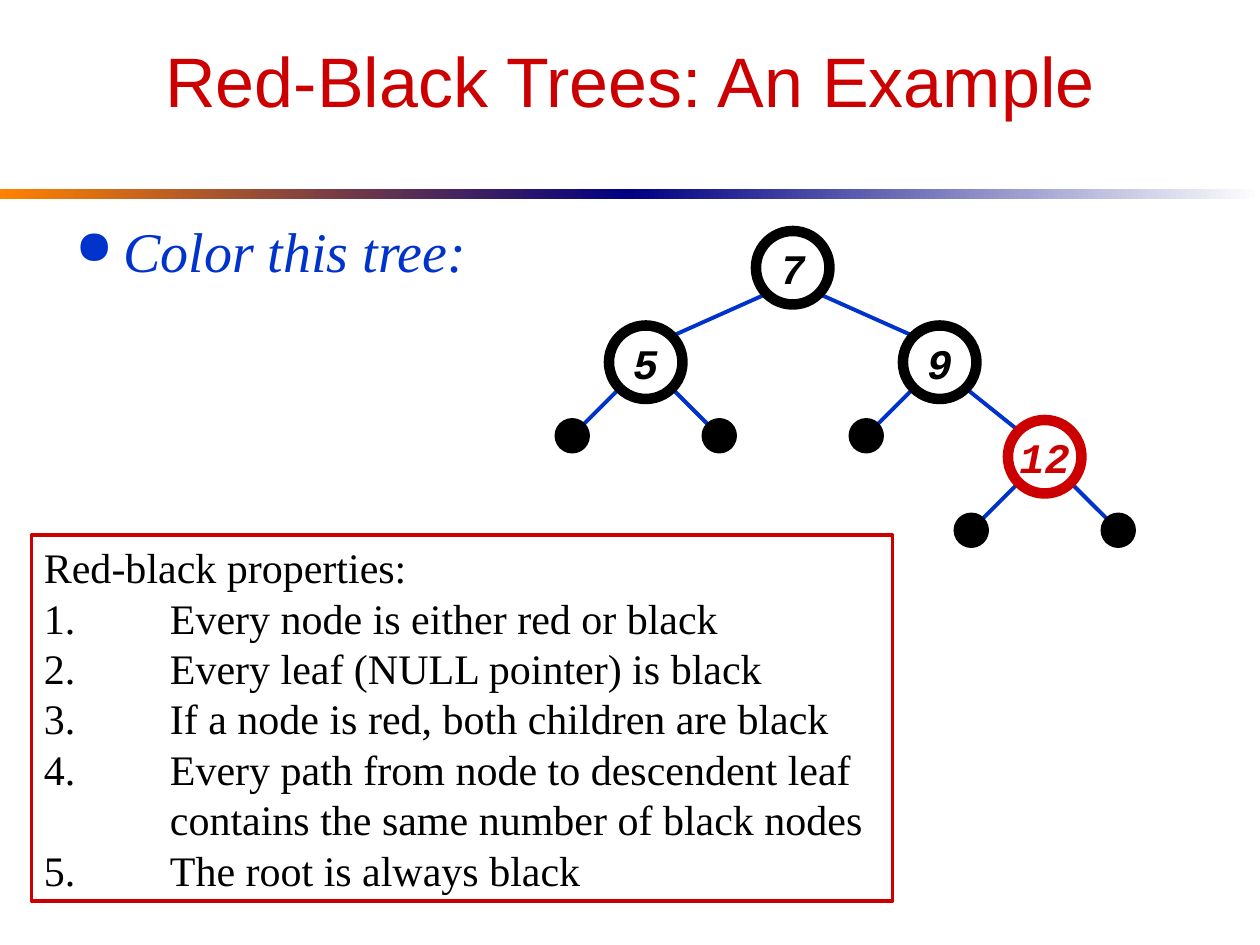
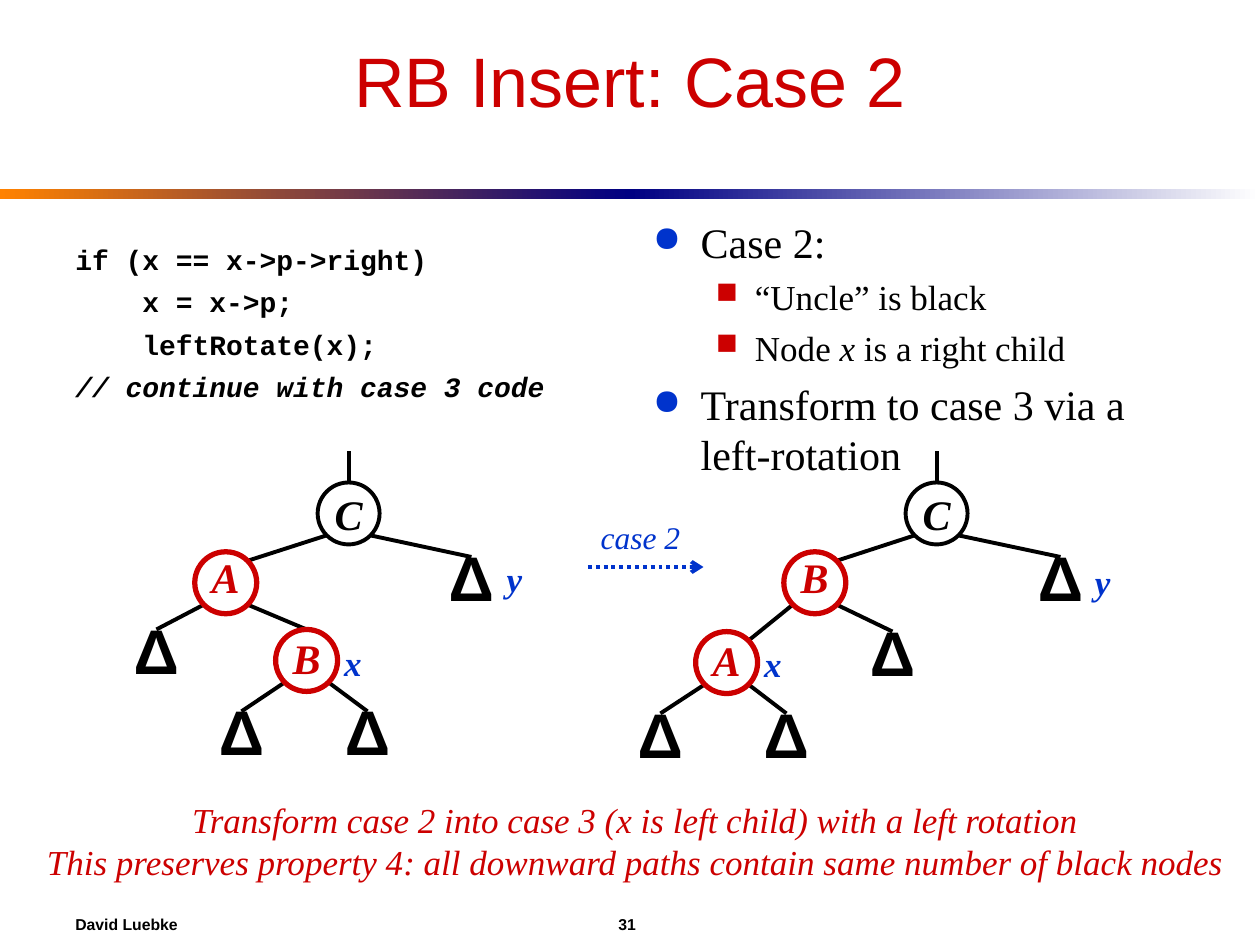
from dataclasses import dataclass
from typing import Any, NamedTuple, Optional

import pptx
import pptx.dml.color
import pptx.enum.dml
import pptx.enum.shapes
import pptx.enum.text
import pptx.oxml.ns
import pptx.util
from lxml import etree

WIDTH, HEIGHT = pptx.util.Inches(10), pptx.util.Inches(7.5)
COLS, ROWS = 120, 90
HUES = {"red": "CC0000", "blue": "0033CC", "black": "000000", "white": "FFFFFF",
        "orange": "FF8200", "navy": "000082"}
SHAPE = pptx.enum.shapes.MSO_SHAPE
ALIGN = pptx.enum.text.PP_ALIGN
ANCHOR = pptx.enum.text.MSO_ANCHOR
DIAG = 0.71


class Box(NamedTuple):
    left: float
    top: float
    width: float
    height: float


@dataclass(frozen=True)
class Style:
    face: str
    size: float
    hue: str = "black"
    bold: bool = False
    slant: bool = False
    align: Any = ALIGN.LEFT
    lead: Optional[float] = None


@dataclass(frozen=True)
class Mark:
    sign: str
    hue: str
    edge: float
    hang: float


@dataclass(frozen=True)
class Line:
    text: str
    style: Style
    space: float = 0
    mark: Optional[Mark] = None
    tab: float = 0


@dataclass(frozen=True)
class Kind:
    size: float
    style: Optional[Style] = None
    fill: Optional[str] = None
    edge: Optional[str] = None
    weight: float = 0
    crown: bool = False


class Node(NamedTuple):
    text: str
    col: float
    row: float
    kind: Kind
    up: Optional[int] = None


TITLE = Style("Arial", 40, "red", align=ALIGN.CENTER)
FOOT = Style("Arial", 9, bold=True)
BODY = Style("Times New Roman", 24)
SUB = Style("Times New Roman", 20)
COLOR = Style("Times New Roman", 32, "blue", slant=True)
CODE = Style("Courier New", 16, bold=True)
NOTE = Style("Courier New", 16, bold=True, slant=True)
TAG = Style("Times New Roman", 20, "blue", True, True, ALIGN.CENTER)
STEP = Style("Times New Roman", 18, "blue", slant=True, align=ALIGN.CENTER)
CLAIM = Style("Times New Roman", 20, "red", slant=True, align=ALIGN.CENTER)

DOT = Mark("●", "blue", 0.38, 0.38)
SQUARE = Mark("■", "red", 0.81, 0.31)
COUNT = Mark("", "black", 1, 1)


def key(hue: str) -> Style:
    return Style("Courier New", 24, hue, True, True, ALIGN.CENTER)


def name(hue: str, lead: Optional[float] = None) -> Style:
    return Style("Times New Roman", 24, hue, True, True, ALIGN.CENTER, lead)


BLACK = Kind(7, key("black"), "white", "black", 6)
RED = Kind(7, key("red"), "white", "red", 6)
LEAF = Kind(3, None, "black", "black", 2.25)
TOP = Kind(5.9, name("black"), "white", "black", 2.25)
MID = Kind(5.9, name("red", 0.7), "white", "red", 3)
LOW = Kind(5.9, name("red", 0.9), "white", "red", 3)
LOW_TOP = Kind(5.9, name("red", 0.9), "white", "red", 3, True)
DELTA = Kind(5.9, Style("Arial", 36, bold=True, align=ALIGN.CENTER, lead=0.6), crown=True)

SAMPLE = [
    Node("7", 75.5, 25.5, BLACK),
    Node("5", 61.5, 34.5, BLACK, 0),
    Node("9", 89.5, 34.5, BLACK, 0),
    Node("12", 99.5, 43.5, RED, 2),
    Node("", 54.5, 41.5, LEAF, 1),
    Node("", 68.5, 41.5, LEAF, 1),
    Node("", 82.5, 41.5, LEAF, 2),
    Node("", 92.5, 50.5, LEAF, 3),
    Node("", 106.5, 50.5, LEAF, 3),
]
BEFORE = [
    Node("C", 33.2, 48.9, TOP),
    Node("A", 21.5, 55.5, MID, 0),
    Node("Δ", 44.9, 56, DELTA, 0),
    Node("Δ", 14.9, 62.9, DELTA, 1),
    Node("B", 29.2, 62.9, LOW_TOP, 1),
    Node("Δ", 23, 70.7, DELTA, 4),
    Node("Δ", 35, 70.7, DELTA, 4),
]
AFTER = [
    Node("C", 89.2, 48.9, TOP),
    Node("B", 77.6, 55.5, MID, 0),
    Node("Δ", 101, 56, DELTA, 0),
    Node("A", 69.2, 63.1, LOW, 1),
    Node("Δ", 85, 63.1, DELTA, 1),
    Node("Δ", 62.9, 70.9, DELTA, 3),
    Node("Δ", 74.9, 70.9, DELTA, 3),
]
TAGS = [("x", 33.6, 63.1), ("y", 49, 55.1), ("x", 73.6, 63.2), ("y", 105, 55.4)]
RULES = [
    "Every node is either red or black",
    "Every leaf (NULL pointer) is black",
    "If a node is red, both children are black",
    "Every path from node to descendent leaf contains the same number of black nodes",
    "The root is always black",
]


def across(cols: float) -> int:
    return round(WIDTH * cols / COLS)


def down(rows: float) -> int:
    return round(HEIGHT * rows / ROWS)


def place(box: Box) -> tuple[int, int, int, int]:
    return across(box.left), down(box.top), across(box.width), down(box.height)


def paint(hue: str) -> pptx.dml.color.RGBColor:
    return pptx.dml.color.RGBColor.from_string(HUES[hue])


def add(parent: Any, tag: str, **attrs: Any) -> Any:
    return etree.SubElement(parent, pptx.oxml.ns.qn(tag), {k: str(v) for k, v in attrs.items()})


def add_mark(para: Any, mark: Mark) -> None:
    props = para._p.get_or_add_pPr()
    props.set("marL", str(pptx.util.Inches(mark.edge)))
    props.set("indent", str(-pptx.util.Inches(mark.hang)))
    add(add(props, "a:buClr"), "a:srgbClr", val=HUES[mark.hue])
    if mark.sign:
        add(props, "a:buSzPct", val=85000)
        add(props, "a:buChar", char=mark.sign)
    else:
        add(props, "a:buAutoNum", type="arabicPeriod")


def write(frame: Any, lines: list[Line], wrap: bool = True, anchor: Any = ANCHOR.TOP) -> None:
    frame.word_wrap = wrap
    frame.vertical_anchor = anchor
    for i, line in enumerate(lines):
        para = frame.add_paragraph() if i else frame.paragraphs[0]
        style = line.style
        if line.mark:
            add_mark(para, line.mark)
        if line.tab:
            tabs = add(para._p.get_or_add_pPr(), "a:tabLst")
            add(tabs, "a:tab", pos=pptx.util.Inches(line.tab), algn="l")
        para.alignment = style.align
        if style.lead:
            para.line_spacing = style.lead
        if line.space:
            para.space_before = pptx.util.Pt(line.space)
        font = para.font
        font.name, font.size = style.face, pptx.util.Pt(style.size)
        font.bold, font.italic = style.bold, style.slant
        font.color.rgb = paint(style.hue)
        for j, part in enumerate(line.text.split("|")):
            run = para.add_run()
            run.text = part
            if j % 2:
                run.font.italic = True


def add_text(slide: Any, box: Box, lines: list[Line], wrap: bool = True,
             anchor: Any = ANCHOR.TOP) -> Any:
    shape = slide.shapes.add_textbox(*place(box))
    write(shape.text_frame, lines, wrap, anchor)
    return shape


def add_line(slide: Any, start: tuple[float, float], end: tuple[float, float], hue: str) -> Any:
    line = slide.shapes.add_connector(
        pptx.enum.shapes.MSO_CONNECTOR.STRAIGHT,
        across(start[0]), down(start[1]), across(end[0]), down(end[1]))
    line.line.color.rgb = paint(hue)
    line.line.width = pptx.util.Pt(2.25)
    add(line._element.spPr, "a:effectLst")
    return line


def add_node(slide: Any, node: Node) -> None:
    kind = node.kind
    half = kind.size / 2
    box = Box(node.col - half, node.row - half, kind.size, kind.size)
    shape = slide.shapes.add_shape(SHAPE.OVAL, *place(box))
    shape.shadow.inherit = False
    if kind.fill:
        shape.fill.solid()
        shape.fill.fore_color.rgb = paint(kind.fill)
    else:
        shape.fill.background()
    if kind.edge:
        shape.line.color.rgb = paint(kind.edge)
        shape.line.width = pptx.util.Pt(kind.weight)
    else:
        shape.line.fill.background()
    if kind.style:
        write(shape.text_frame, [Line(node.text, kind.style)], False, ANCHOR.MIDDLE)


def add_tree(slide: Any, nodes: list[Node], hue: str) -> None:
    for node in nodes:
        if node.up is None:
            continue
        root = nodes[node.up]
        side = 1 if node.col > root.col else -1
        reach = root.kind.size / 2 * DIAG
        half = node.kind.size / 2
        if node.kind.crown:
            end = (node.col, node.row - half)
        else:
            end = (node.col - side * half * DIAG, node.row - half * DIAG)
        add_line(slide, (root.col + side * reach, root.row + reach), end, hue)
    for node in nodes:
        add_node(slide, node)


def add_slide(deck: Any, title: str) -> Any:
    slide = deck.slides.add_slide(deck.slide_layouts[6])
    for i, hues in enumerate([("orange", "navy"), ("navy", "white")]):
        band = slide.shapes.add_shape(SHAPE.RECTANGLE, *place(Box(i * COLS / 2, 18, COLS / 2, 1)))
        band.shadow.inherit = False
        band.line.fill.background()
        band.fill.gradient()
        band.fill.gradient_angle = 0
        for stop, hue in zip(band.fill.gradient_stops, hues):
            stop.color.rgb = paint(hue)
    add_text(slide, Box(6, 3, 108, 13), [Line(title, TITLE)])
    return slide


def draw_sample(deck: Any) -> None:
    slide = add_slide(deck, "Red-Black Trees: An Example")
    add_text(slide, Box(6, 20, 108, 57), [Line("Color this tree:", COLOR, mark=DOT)])
    add_tree(slide, SAMPLE, "blue")
    lines = [Line("Red-black properties:", BODY)]
    lines += [Line(rule, BODY, mark=COUNT) for rule in RULES]
    panel = add_text(slide, Box(3, 51, 82, 34.8), lines, anchor=ANCHOR.MIDDLE)
    panel.line.color.rgb = paint("red")
    panel.line.width = pptx.util.Pt(2.25)


def draw_case(deck: Any) -> None:
    slide = add_slide(deck, "RB Insert: Case 2")
    add_text(slide, Box(6, 22.5, 53, 22), [
        Line("if (x == x->p->right)", CODE),
        Line("    x = x->p;", CODE, 5),
        Line("    leftRotate(x);", CODE, 5),
        Line("// continue with case 3 code", NOTE, 5),
    ])
    add_text(slide, Box(61, 20, 53, 23), [
        Line("Case 2:", BODY, mark=DOT),
        Line("“Uncle” is black", SUB, 5, SQUARE),
        Line("Node |x| is a right child", SUB, 5, SQUARE),
        Line("Transform to case 3 via a left-rotation", BODY, 6, DOT),
    ])
    for tree in (BEFORE, AFTER):
        add_tree(slide, tree, "black")
        root = tree[0]
        crest = root.row - root.kind.size / 2
        add_line(slide, (root.col, crest), (root.col, crest - 3), "black")
    for text, col, row in TAGS:
        add_text(slide, Box(col - 2, row - 2.65, 4, 5.3), [Line(text, TAG)], False, ANCHOR.MIDDLE)
    add_text(slide, Box(56, 48.7, 10, 4.8), [Line("case 2", STEP)], False, ANCHOR.MIDDLE)
    arrow = add_line(slide, (56, 54), (67, 54), "blue")
    arrow.line.dash_style = pptx.enum.dml.MSO_LINE.ROUND_DOT
    add(arrow.line._get_or_add_ln(), "a:tailEnd", type="arrow")
    add_text(slide, Box(3.1, 75.4, 114.8, 9.2), [
        Line("Transform case 2 into case 3 (x is left child) with a left rotation", CLAIM),
        Line("This preserves property 4: all downward paths contain same number of black nodes",
             CLAIM),
    ], False, ANCHOR.MIDDLE)
    add_text(slide, Box(6, 86, 108, 4), [Line("David Luebke\t31", FOOT, tab=4.31)],
             anchor=ANCHOR.MIDDLE)


def main() -> None:
    deck = pptx.Presentation()
    deck.slide_width, deck.slide_height = WIDTH, HEIGHT
    draw_sample(deck)
    draw_case(deck)
    deck.save("out.pptx")


if __name__ == "__main__":
    main()
